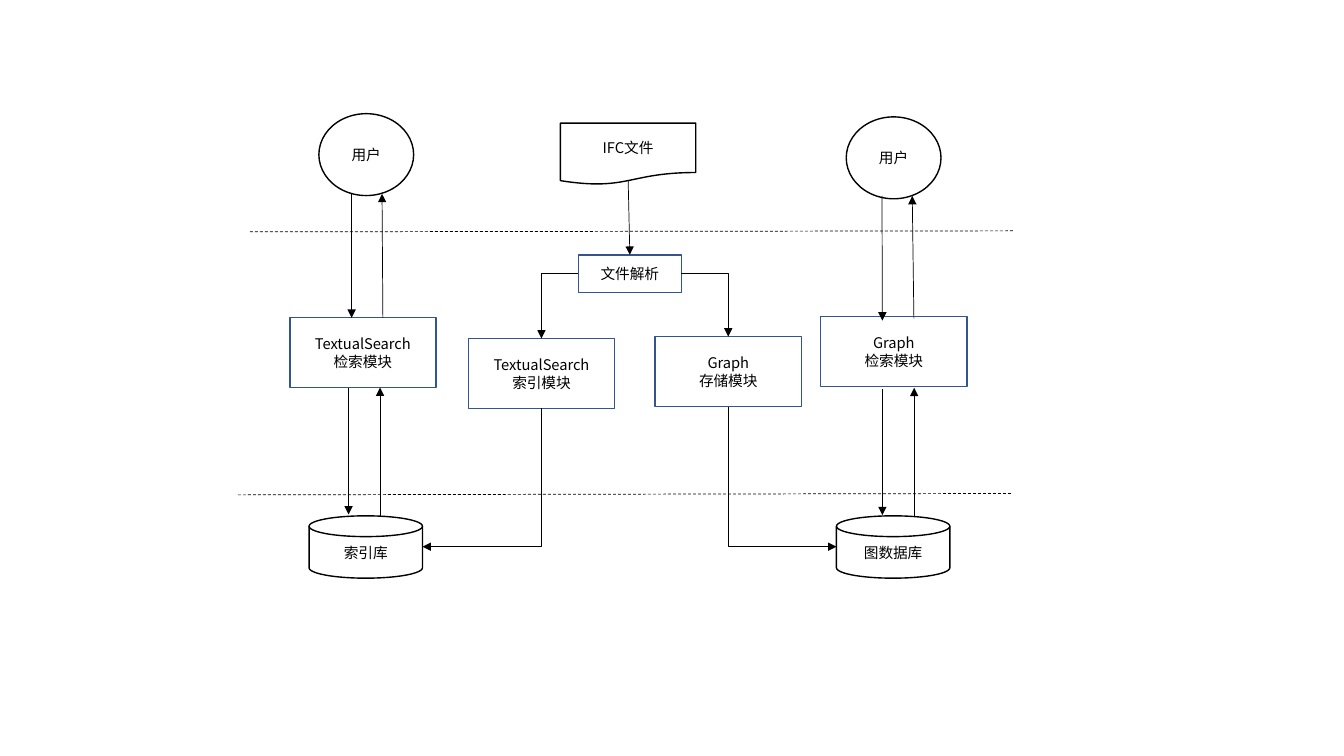
from pptx import Presentation
from pptx.dml.color import RGBColor
from pptx.enum.dml import MSO_LINE
from pptx.enum.shapes import MSO_CONNECTOR, MSO_SHAPE
from pptx.enum.text import MSO_ANCHOR, PP_ALIGN
from pptx.oxml.ns import qn
from pptx.util import Pt
from lxml.etree import SubElement

COLORS = {"ink": "000000", "module": "325491", "paper": "FFFFFF"}
FONT = "Noto Sans CJK SC"

presentation = Presentation()
presentation.slide_width = Pt(960)
presentation.slide_height = Pt(540)
slide = presentation.slides.add_slide(presentation.slide_layouts[6])


def add_node(kind, left, top, width, height, lines, outline):
    shape = slide.shapes.add_shape(kind, Pt(left), Pt(top), Pt(width), Pt(height))
    shape.shadow.inherit = False
    shape.fill.solid()
    shape.fill.fore_color.rgb = RGBColor.from_string(COLORS["paper"])
    shape.line.color.rgb = RGBColor.from_string(COLORS[outline])
    shape.line.width = Pt(1)
    frame = shape.text_frame
    frame.word_wrap = True
    frame.vertical_anchor = MSO_ANCHOR.MIDDLE
    for index, line in enumerate(lines):
        paragraph = frame.add_paragraph() if index else frame.paragraphs[0]
        paragraph.alignment = PP_ALIGN.CENTER
        run = paragraph.add_run()
        run.text = line
        run.font.size = Pt(10.5)
        run.font.name = FONT
        run.font.color.rgb = RGBColor.from_string(COLORS["ink"])
        SubElement(run.font._element, qn("a:ea")).set("typeface", FONT)
    return shape


def add_line(kind, start, end, arrow=True):
    connector = slide.shapes.add_connector(kind, *[Pt(value) for value in start + end])
    connector.line.color.rgb = RGBColor.from_string(COLORS["ink"])
    connector.line.width = Pt(0.5)
    if arrow:
        SubElement(connector.line._get_or_add_ln(), qn("a:tailEnd")).set("type", "triangle")
    else:
        connector.line.dash_style = MSO_LINE.DASH
    properties = connector._element.spPr
    SubElement(properties, qn("a:effectLst"))
    if kind == MSO_CONNECTOR.ELBOW:
        properties.find(qn("a:prstGeom")).set("prst", "bentConnector2")
    return connector


for start, end in [((178.5, 165.6), (724.3, 164.9)), ((170, 353.5), (723, 352.5))]:
    add_line(MSO_CONNECTOR.STRAIGHT, start, end, arrow=False)

add_node(MSO_SHAPE.FLOWCHART_DOCUMENT, 400.3, 88, 96.7, 44, ["IFC文件"], "ink")
for left, top in [(227.8, 81.2), (604.5, 83.5)]:
    add_node(MSO_SHAPE.FLOWCHART_CONNECTOR, left, top, 67.7, 58.5, ["用户"], "ink")
for left, label in [(220.8, "索引库"), (597.5, "图数据库")]:
    add_node(MSO_SHAPE.FLOWCHART_MAGNETIC_DISK, left, 368.5, 81, 44.5, [label], "ink")

parser = add_node(MSO_SHAPE.FLOWCHART_PROCESS, 413.2, 182, 73.4, 26.8, ["文件解析"], "module")
modules = [
    add_node(MSO_SHAPE.FLOWCHART_PROCESS, left, top, 104.4, 50, lines, "module")
    for left, top, lines in [
        (334.6, 241.8, ["TextualSearch", "索引模块"]),
        (468, 240.4, ["Graph", "存储模块"]),
        (207, 227, ["TextualSearch", "检索模块"]),
        (586.3, 226.3, ["Graph", "检索模块"]),
    ]
]
index_module, storage_module = modules[:2]

document_arrow = add_line(MSO_CONNECTOR.STRAIGHT, (448.7, 129), (449.9, 182))
document_arrow.end_connect(parser, 0)

for start, end in [
    ((251.2, 138.5), (251.2, 227)),
    ((273.5, 227), (272.9, 138.5)),
    ((249, 277), (249, 367.5)),
    ((271.5, 368.5), (271.5, 276.8)),
    ((630, 140), (630.3, 229)),
    ((652.8, 227.5), (651.6, 140)),
    ((630.3, 278), (630.3, 368)),
    ((653, 369), (653, 277)),
]:
    add_line(MSO_CONNECTOR.STRAIGHT, start, end)

for side, module, start, end in [
    (1, index_module, (413.2, 195.4), (386.8, 241.8)),
    (3, storage_module, (486.6, 195.4), (520.2, 240.4)),
]:
    branch = add_line(MSO_CONNECTOR.ELBOW, start, end)
    branch.begin_connect(parser, side)
    branch.end_connect(module, 0)

for start, end, rotation, flip in [
    ((386.8, 291.8), (301.8, 390.5), 90, "0"),
    ((520.2, 290.4), (597.5, 390.5), 270, "1"),
]:
    across, down = abs(end[0] - start[0]), end[1] - start[1]
    feed = add_line(MSO_CONNECTOR.ELBOW, start, end)
    feed.left = Pt((start[0] + end[0] - down) / 2)
    feed.top = Pt((start[1] + end[1] - across) / 2)
    feed.width, feed.height = Pt(down), Pt(across)
    transform = feed._element.spPr.find(qn("a:xfrm"))
    transform.set("rot", str(rotation * 60000))
    transform.set("flipH", flip)

presentation.save("out.pptx")
